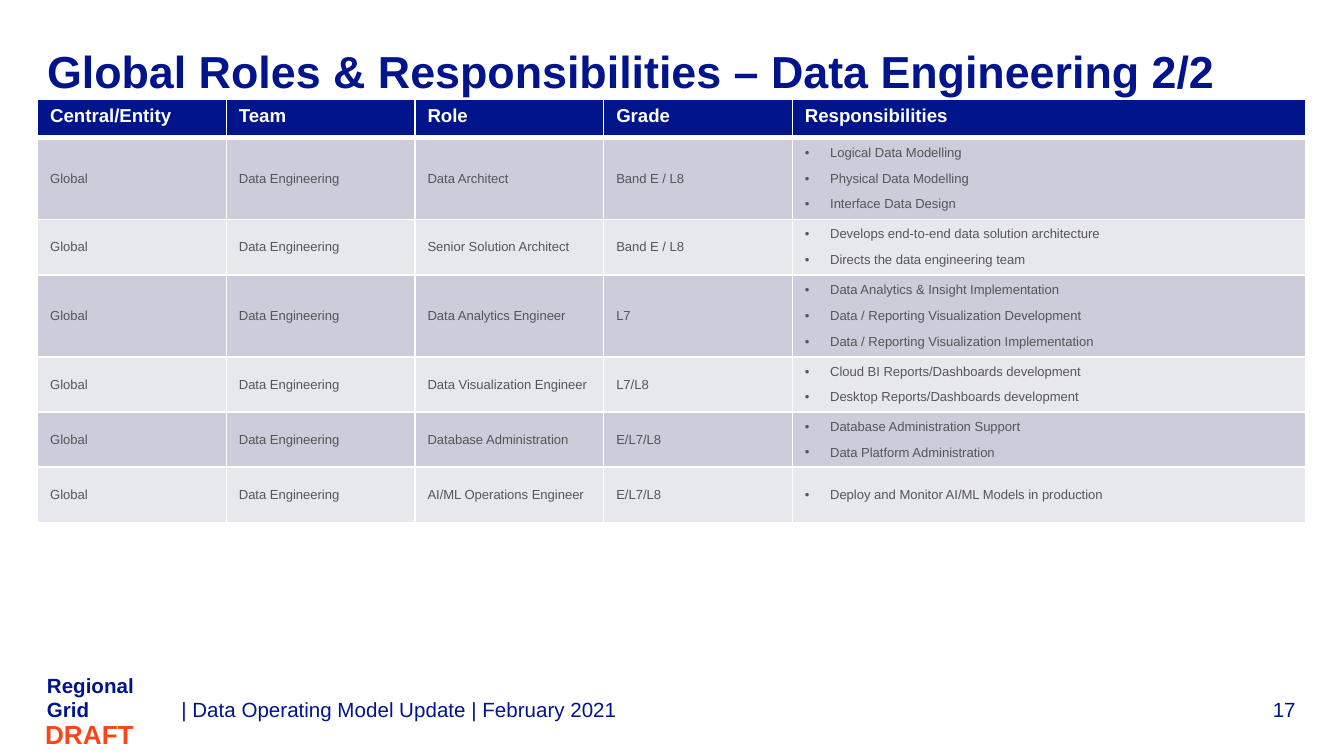
"""Build the data engineering roles slide."""
from lxml import etree
from pptx import Presentation
from pptx import util as u
from pptx.dml.color import RGBColor
from pptx.enum import text as t
from pptx.oxml import ns

HUES = {"navy": "00148C", "white": "FFFFFF", "grey": "55555A",
        "dark": "CCCCDA", "light": "E7E7EE", "orange": "FA4616"}
FONT = "Arial"
HEADS = ["Central/Entity", "Team", "Role", "Grade", "Responsibilities"]
ROLES = [
    ("Data Architect", "Band E / L8",
     ["Logical Data Modelling", "Physical Data Modelling", "Interface Data Design"]),
    ("Senior Solution Architect", "Band E / L8",
     ["Develops end-to-end data solution architecture",
      "Directs the data engineering team"]),
    ("Data Analytics Engineer", "L7",
     ["Data Analytics & Insight Implementation",
      "Data / Reporting Visualization Development",
      "Data / Reporting Visualization Implementation"]),
    ("Data Visualization Engineer", "L7/L8",
     ["Cloud BI Reports/Dashboards development",
      "Desktop Reports/Dashboards development"]),
    ("Database Administration", "E/L7/L8",
     ["Database Administration Support", "Data Platform Administration"]),
    ("AI/ML Operations Engineer", "E/L7/L8",
     ["Deploy and Monitor AI/ML Models in production"]),
]
MID, LOW = t.MSO_ANCHOR.MIDDLE, t.MSO_ANCHOR.BOTTOM
LEFT, RIGHT = t.PP_ALIGN.LEFT, t.PP_ALIGN.RIGHT
LABELS = [
    ("17", (652.3, 373, 41.8, 13.7), 11, "navy", False, LOW, RIGHT),
    ("Regional Grid", (25.2, 373, 72, 13.7), 11, "navy", True, LOW, LEFT),
    ("Global Roles & Responsibilities – Data Engineering 2/2",
     (25.2, 20.9, 668.9, 33.8), 24, "navy", True, MID, LEFT),
    ("| Data Operating Model Update | February 2021",
     (97.2, 373, 566.6, 13.7), 11, "navy", False, LOW, LEFT),
    ("DRAFT", (8.64, 385.2, 63, 16.6), 14, "orange", True, MID, RIGHT),
]
TABLE = (20.16, 53.3)
COLS = [101.1] * 4 + [275.2]
HEAD, LINE, LEAST = 20.4, 14, 30


def rgb(hue):
    return RGBColor.from_string(HUES[hue])


def style(par, size, hue, bold):
    for run in par.runs:
        font = run.font
        font.name, font.size, font.bold = FONT, u.Pt(size), bold
        font.color.rgb = rgb(hue)


def label(slide, words, spot, size, hue, bold, anchor, align):
    frame = slide.shapes.add_textbox(*map(u.Pt, spot)).text_frame
    frame.word_wrap = True
    frame.margin_left = frame.margin_right = 0
    frame.margin_top = frame.margin_bottom = 0
    frame.vertical_anchor = anchor
    par = frame.paragraphs[0]
    par.text, par.alignment = words, align
    style(par, size, hue, bold)


def bullet(par):
    props = par._p.get_or_add_pPr()
    props.set("marL", str(u.Pt(13.5)))
    props.set("indent", str(-u.Pt(13.5)))
    mark = etree.SubElement(props, ns.qn("a:buFont"))
    mark.set("typeface", FONT)
    etree.SubElement(props, ns.qn("a:buChar")).set("char", "•")


def border(cell, top, base):
    props = cell._tc.get_or_add_tcPr()
    sides = [("L", 1), ("R", 1), ("T", top), ("B", base)]
    for spot, (side, width) in enumerate(sides):
        line = etree.Element(ns.qn(f"a:ln{side}"), w=str(u.Pt(width)))
        fill = etree.SubElement(line, ns.qn("a:solidFill"))
        etree.SubElement(fill, ns.qn("a:srgbClr")).set("val", HUES["white"])
        props.insert(spot, line)


def fill_cell(cell, lines, row, listed):
    head = row == 0
    cell.margin_left = cell.margin_right = u.Pt(6.75)
    cell.margin_top = cell.margin_bottom = u.Pt(3.38)
    cell.vertical_anchor = t.MSO_ANCHOR.TOP if head else MID
    cell.fill.solid()
    cell.fill.fore_color.rgb = rgb("navy" if head else "dark" if row % 2 else "light")
    border(cell, 3 if row == 1 else 1, 3 if head else 1)
    cell.text_frame.text = "\n".join(lines)
    for par in cell.text_frame.paragraphs:
        par.space_after = u.Pt(6)
        if listed:
            bullet(par)
        style(par, 10 if head else 7, "white" if head else "grey", head)


def add_roles(slide):
    rows = [[[head] for head in HEADS]]
    rows += [[["Global"], ["Data Engineering"], [role], [grade], duties]
             for role, grade, duties in ROLES]
    highs = [HEAD] + [LINE * len(duties) + 0.8 if len(duties) > 1 else LEAST
                      for _, _, duties in ROLES]
    size = map(u.Pt, (*TABLE, sum(COLS), sum(highs)))
    table = slide.shapes.add_table(len(rows), len(COLS), *size).table
    for col, wide in zip(table.columns, COLS):
        col.width = u.Pt(wide)
    for row, high in enumerate(highs):
        table.rows[row].height = u.Pt(high)
        for col, lines in enumerate(rows[row]):
            fill_cell(table.cell(row, col), lines, row, row > 0 and col == 4)


def main():
    deck = Presentation()
    deck.slide_width, deck.slide_height = u.Pt(720), u.Pt(405)
    slide = deck.slides.add_slide(deck.slide_layouts[6])
    for item in LABELS[:3]:
        label(slide, *item)
    add_roles(slide)
    for item in LABELS[3:]:
        label(slide, *item)
    deck.save("out.pptx")


if __name__ == "__main__":
    main()
